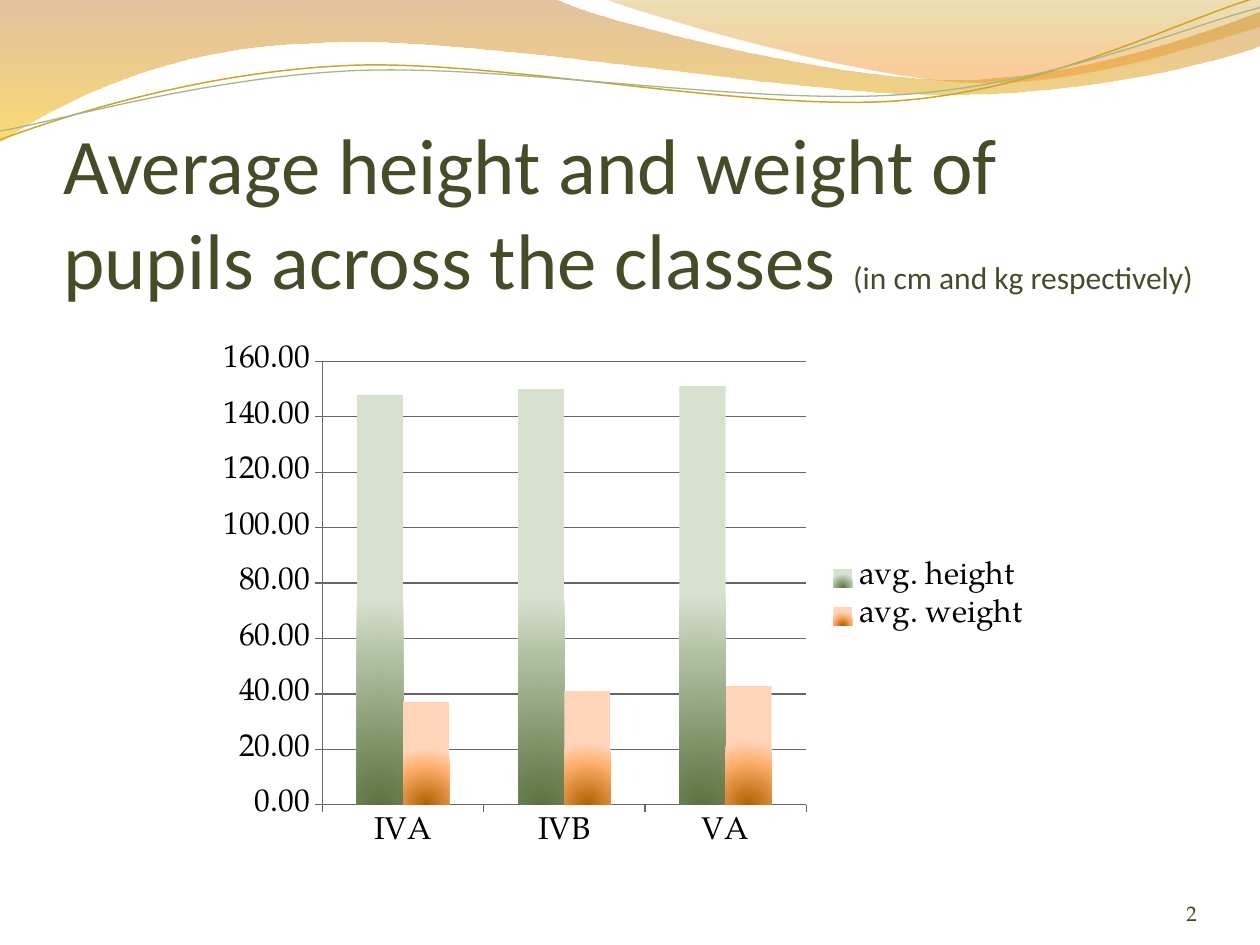
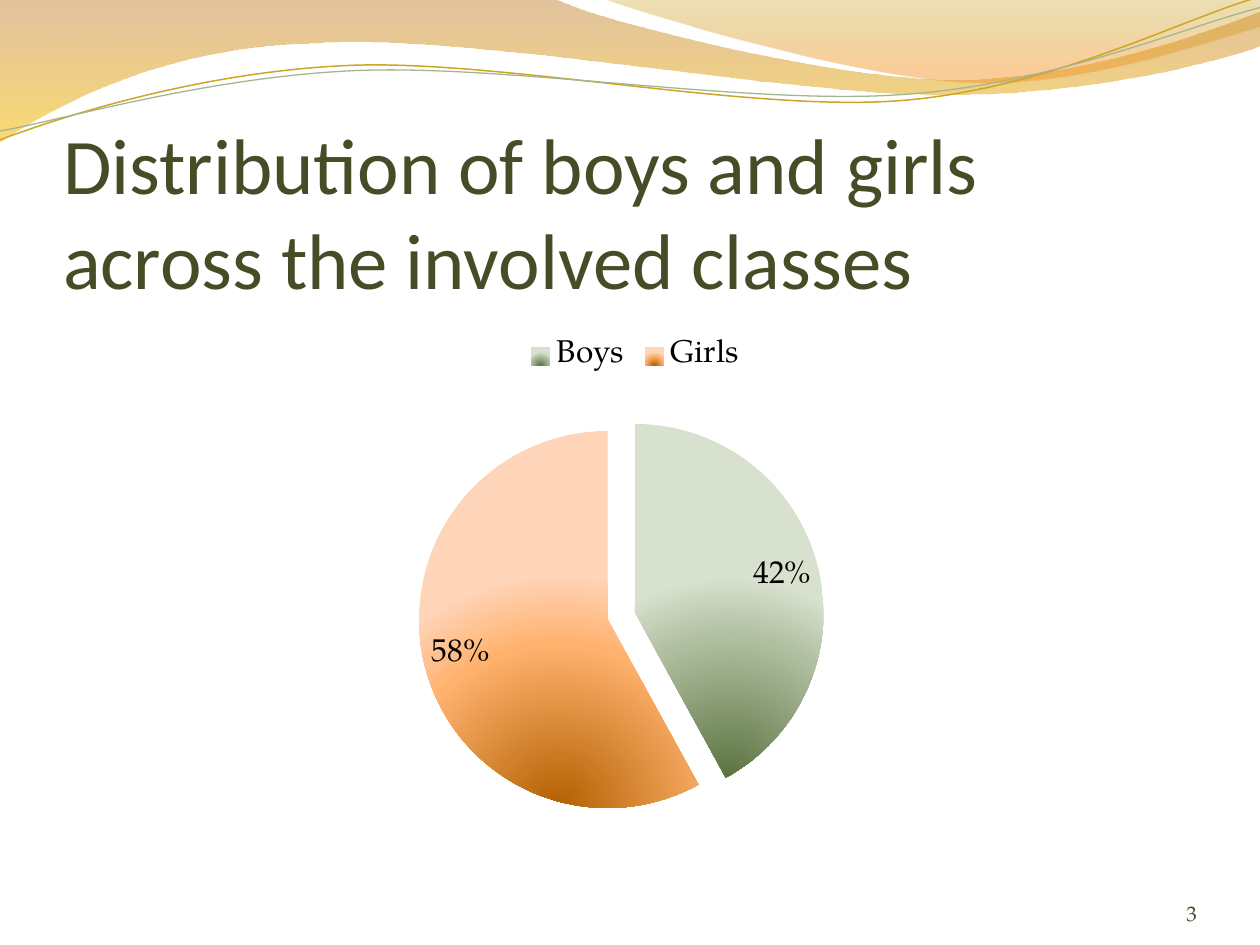
import math

import pptx
import pptx.chart.data
import pptx.dml.color
import pptx.enum.chart
import pptx.enum.text
import pptx.oxml
import pptx.oxml.ns
import pptx.util
from pptx.util import Inches

RGBColor = pptx.dml.color.RGBColor

WHITE = RGBColor(0xFF, 0xFF, 0xFF)
BLACK = RGBColor(0x00, 0x00, 0x00)
TITLE_GREEN = RGBColor(0x44, 0x4D, 0x26)
NUMBER_GREEN = RGBColor(0x41, 0x4A, 0x24)
AXIS_GRAY = RGBColor(0x66, 0x66, 0x66)
BROWN = RGBColor(0xC0, 0x7A, 0x28)
YELLOW = RGBColor(0xF7, 0xBF, 0x00)
OLIVE = RGBColor(0xC0, 0x97, 0x09)
ORANGE = RGBColor(0xF5, 0x93, 0x20)
GOLD = RGBColor(0xCC, 0xA6, 0x24)
SAGE = RGBColor(0xA5, 0xB5, 0x92)

TITLE_FONT = "Calibri"
BODY_FONT = "TeX Gyre Pagella"

# Gradient stops: position, colour, opacity (all in percent)
GREEN_GLOW = [(0, RGBColor(0x5B, 0x73, 0x41), 100),
              (70, RGBColor(0xB0, 0xBF, 0xA0), 100),
              (100, RGBColor(0xD8, 0xE1, 0xCE), 100)]
ORANGE_GLOW = [(0, RGBColor(0xB3, 0x60, 0x00), 100),
               (70, RGBColor(0xFF, 0xB2, 0x6E), 100),
               (100, RGBColor(0xFF, 0xD5, 0xB9), 100)]
DOWNWARD = '<a:lin {ns} ang="5400000" scaled="0"/>'
FROM_BOTTOM = ('<a:path {ns} path="circle">'
               '<a:fillToRect l="50000" t="100000" r="50000"/></a:path>')

# Wave outlines: a start point, then straight (1 point) or curved (3) steps
WIDE_BAND = [[(0, 0)], [(4.4, -0.01)],
             [(4.76, 0.17), (6.64, 0.63), (7.58, 0.63)],
             [(8.53, 0.63), (9.58, 0.26), (10, 0.09)], [(10.01, 0.36)],
             [(9.83, 0.44), (8.7, 0.76), (7.46, 0.75)],
             [(6.22, 0.75), (3.82, 0.28), (2.57, 0.34)],
             [(1.29, 0.36), (0.46, 0.83), (-0.01, 1.13)], [(0, 0)]]
RIGHT_BAND = [[(4.79, -0.01)], [(5.09, 0.11), (6.82, 0.62), (7.69, 0.65)],
              [(8.56, 0.69), (9.61, 0.32), (10, 0.21)], [(10, 0)],
              [(4.79, -0.01)]]
GOLD_WAVE = [[(0, 1.11)], [(0.48, 0.93), (1.58, 0.57), (2.77, 0.52)],
             [(3.95, 0.47), (5.93, 0.89), (7.13, 0.8)],
             [(8.33, 0.71), (9.38, 0.15), (9.98, -0.02)]]
SAGE_WAVE = [[(0, 1.04)], [(0.47, 0.96), (1.64, 0.61), (2.83, 0.56)],
             [(4.03, 0.51), (5.97, 0.84), (7.17, 0.75)],
             [(8.36, 0.67), (9.41, 0.21), (10, 0.06)]]
WAVE_TILT = -2.7


def style_font(font, name, size, color):
    font.name = name
    font.size = pptx.util.Pt(size)
    font.color.rgb = color


def fill_gradient(fill, owner, stops, direction):
    """Fill owner, the XML element holding fill, with a gradient."""
    fill.gradient()
    gradient = next(owner.iter(pptx.oxml.ns.qn("a:gradFill")))
    gradient.clear()
    namespace = pptx.oxml.ns.nsdecls("a")
    stop_xml = "".join(
        f'<a:gs pos="{position * 1000}"><a:srgbClr val="{color}">'
        f'<a:alpha val="{opacity * 1000}"/></a:srgbClr></a:gs>'
        for position, color, opacity in stops)
    gradient.append(pptx.oxml.parse_xml(
        f"<a:gsLst {namespace}>{stop_xml}</a:gsLst>"))
    gradient.append(pptx.oxml.parse_xml(direction.format(ns=namespace)))


def add_outline(shapes, box, outline, tilt=0, close=False):
    """Add a curved freeform in box; outline is as seen after the tilt."""
    left, top, width, height = box
    builder = shapes.build_freeform(Inches(left), Inches(top))
    builder.add_line_segments(
        [(Inches(left + width), Inches(top + height))], close=close)
    shape = builder.convert_to_shape()
    shape.rotation = tilt % 360
    shape.shadow.inherit = False
    cosine = math.cos(math.radians(tilt))
    sine = math.sin(math.radians(tilt))

    def point_xml(point):
        across = point[0] - left - width / 2
        down = point[1] - top - height / 2
        x = Inches(across * cosine + down * sine + width / 2)
        y = Inches(down * cosine - across * sine + height / 2)
        return f'<a:pt x="{x}" y="{y}"/>'

    outline_path = next(shape.element.iter(pptx.oxml.ns.qn("a:path")))
    for index, step in enumerate(outline):
        tag = ("moveTo" if index == 0 else
               "lnTo" if len(step) == 1 else "cubicBezTo")
        points = "".join(map(point_xml, step))
        outline_path.append(pptx.oxml.parse_xml(
            f'<a:{tag} {pptx.oxml.ns.nsdecls("a")}>{points}</a:{tag}>'))
    for straight in outline_path[:-len(outline)]:
        outline_path.remove(straight)
    if close:
        outline_path.append(pptx.oxml.parse_xml(
            f'<a:close {pptx.oxml.ns.nsdecls("a")}/>'))
    return shape


def add_waves(slide):
    """Draw the waves with the slide's tools and move them to its master."""
    bands = [
        ((-0.01, -0.01, 10.02, 1.14), WIDE_BAND,
         [(0, BROWN, 45), (100, YELLOW, 55)]),
        ((4.79, -0.01, 5.21, 0.7), RIGHT_BAND,
         [(0, OLIVE, 30), (80, ORANGE, 45)])]
    parts = []
    for box, outline, stops in bands:
        band = add_outline(slide.shapes, box, outline, close=True)
        fill_gradient(band.fill, band.element, stops, DOWNWARD)
        band.line.fill.background()
        parts.append(band)
    group = slide.shapes.add_group_shape()
    for box, outline, color, width in [
            ((-0.02, 0.22, 10.02, 0.71), GOLD_WAVE, GOLD, 0.85),
            ((-0.02, 0.3, 10.03, 0.58), SAGE_WAVE, SAGE, 0.75)]:
        wave = add_outline(group.shapes, box, outline, WAVE_TILT)
        wave.fill.background()
        wave.line.color.rgb = color
        wave.line.width = pptx.util.Pt(width)
    parts.append(group)
    master_tree = slide.slide_layout.slide_master.shapes.element
    identifier = 100
    for part in parts:
        for properties in part.element.iter(pptx.oxml.ns.qn("p:cNvPr")):
            properties.set("id", str(identifier))
            identifier += 1
        master_tree.append(part.element)


def set_frame(frame, top_inset=0):
    frame.margin_left = frame.margin_right = frame.margin_bottom = 0
    frame.margin_top = Inches(top_inset)
    frame.word_wrap = True
    frame.auto_size = pptx.enum.text.MSO_AUTO_SIZE.NONE
    frame.vertical_anchor = pptx.enum.text.MSO_ANCHOR.BOTTOM


def set_title(slide, text, note):
    title = slide.shapes.title
    title.left, title.top = Inches(0.5), Inches(0.77)
    title.width, title.height = Inches(9), Inches(1.65)
    set_frame(title.text_frame, 0.05)
    paragraph = title.text_frame.paragraphs[0]
    paragraph.text = text
    paragraph.alignment = pptx.enum.text.PP_ALIGN.LEFT
    for run in paragraph.runs:
        style_font(run.font, TITLE_FONT, 45, TITLE_GREEN)
    if note:
        run = paragraph.add_run()
        run.text = note
        style_font(run.font, TITLE_FONT, 18, TITLE_GREEN)


def add_page_number(slide, number):
    box = slide.shapes.add_textbox(
        Inches(8.67), Inches(6.95), Inches(0.83), Inches(0.4))
    set_frame(box.text_frame)
    paragraph = box.text_frame.paragraphs[0]
    paragraph.alignment = pptx.enum.text.PP_ALIGN.RIGHT
    run = paragraph.add_run()
    run.text = str(number)
    style_font(run.font, BODY_FONT, 12, NUMBER_GREEN)


def add_page(presentation, number, title, note=""):
    slide = presentation.slides.add_slide(presentation.slide_layouts[5])
    slide.background.fill.solid()
    slide.background.fill.fore_color.rgb = WHITE
    set_title(slide, title, note)
    add_page_number(slide, number)
    return slide


def add_styled_chart(slide, kind, box, categories, series, legend_position):
    data = pptx.chart.data.CategoryChartData()
    data.categories = categories
    for name, values in series:
        data.add_series(name, values)
    chart = slide.shapes.add_chart(
        kind, *(Inches(length) for length in box), data).chart
    style_font(chart.font, BODY_FONT, 18, BLACK)
    chart.has_title = False
    chart.has_legend = True
    chart.legend.position = legend_position
    chart.legend.include_in_layout = False
    return chart


def add_averages_chart(slide, box):
    chart = add_styled_chart(
        slide, pptx.enum.chart.XL_CHART_TYPE.COLUMN_CLUSTERED, box,
        ["IVA", "IVB", "VA"],
        [("avg. height", (148, 150, 151)), ("avg. weight", (37, 41, 43))],
        pptx.enum.chart.XL_LEGEND_POSITION.RIGHT)
    plot = chart.plots[0]
    plot.gap_width, plot.overlap = 150, 0
    plot.vary_by_categories = False
    for series, glow in zip(plot.series, (GREEN_GLOW, ORANGE_GLOW)):
        series.invert_if_negative = False
        fill_gradient(series.format.fill, series.format.element, glow,
                      FROM_BOTTOM)
    for axis in (chart.category_axis, chart.value_axis):
        axis.format.line.color.rgb = AXIS_GRAY
        axis.major_tick_mark = pptx.enum.chart.XL_TICK_MARK.OUTSIDE
    value_axis = chart.value_axis
    value_axis.minimum_scale, value_axis.maximum_scale = 0, 160
    value_axis.major_unit = 20
    value_axis.has_major_gridlines = True
    value_axis.major_gridlines.format.line.color.rgb = AXIS_GRAY
    value_axis.tick_labels.number_format = "0.00"
    value_axis.tick_labels.number_format_is_linked = False


def explode(point, percent):
    """Pull a pie slice away from the centre."""
    point_element = point.format.element
    explosion = pptx.oxml.parse_xml(
        f'<c:explosion {pptx.oxml.ns.nsdecls("c")} val="{percent}"/>')
    point_element.find(pptx.oxml.ns.qn("c:spPr")).addprevious(explosion)


def add_gender_chart(slide, box):
    chart = add_styled_chart(
        slide, pptx.enum.chart.XL_CHART_TYPE.PIE, box, ["Boys", "Girls"],
        [("Series 1", (42, 58))], pptx.enum.chart.XL_LEGEND_POSITION.TOP)
    plot = chart.plots[0]
    plot.vary_by_categories = True
    points = plot.series[0].points
    for index, glow in enumerate((GREEN_GLOW, ORANGE_GLOW)):
        point_format = points[index].format
        fill_gradient(point_format.fill, point_format.element, glow,
                      FROM_BOTTOM)
    explode(points[1], 15)
    plot.has_data_labels = True
    labels = plot.data_labels
    labels.show_percentage, labels.show_value = True, False
    labels.number_format, labels.number_format_is_linked = "0%", False
    labels.position = pptx.enum.chart.XL_LABEL_POSITION.BEST_FIT
    style_font(labels.font, BODY_FONT, 18, BLACK)


def main():
    presentation = pptx.Presentation()
    presentation.slide_width = Inches(10)
    presentation.slide_height = Inches(7.5)
    averages = add_page(
        presentation, 2,
        "Average height and weight of pupils across the classes ",
        "(in cm and kg respectively)")
    add_waves(averages)
    add_averages_chart(averages, (1.64, 2.66, 6.64, 4.16))
    genders = add_page(
        presentation, 3,
        "Distribution of boys and girls \vacross the involved classes")
    add_gender_chart(genders, (1.64, 2.58, 6.8, 4.14))
    presentation.save("out.pptx")


if __name__ == "__main__":
    main()
